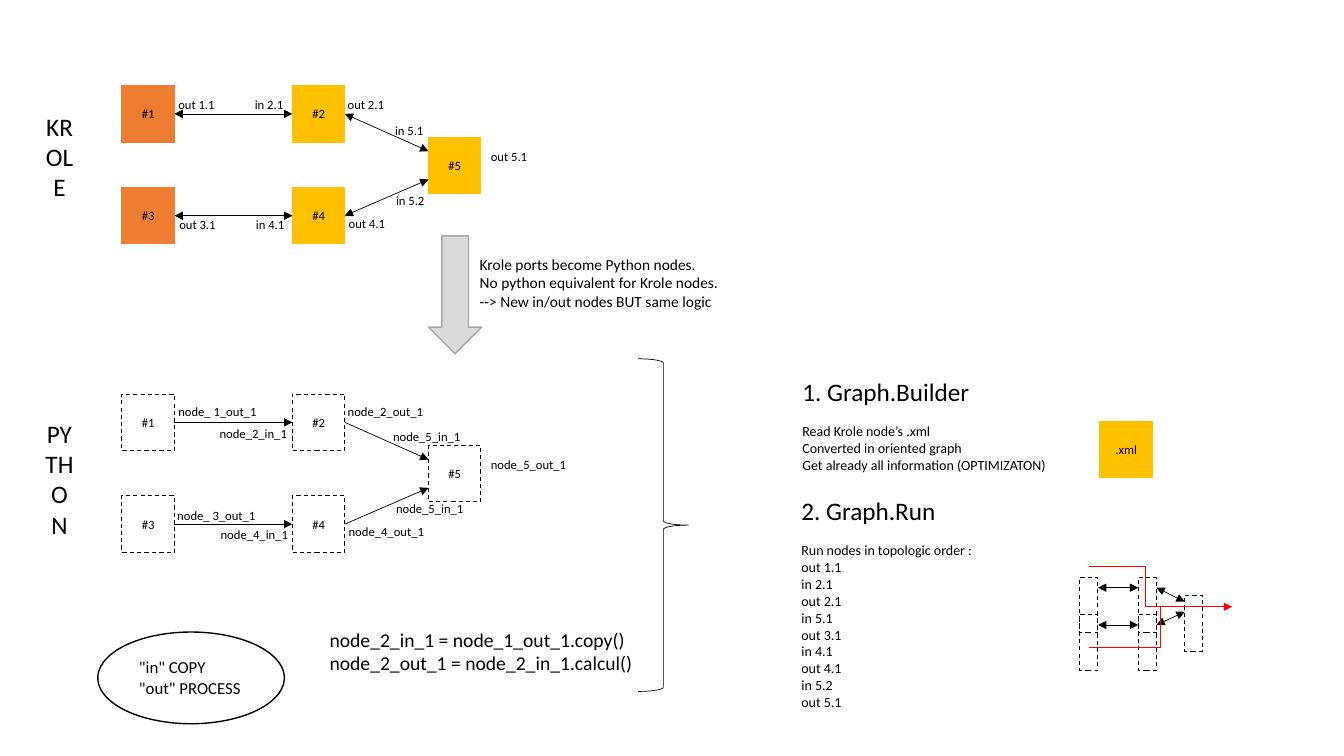
from lxml import etree
from pptx import Presentation
from pptx.dml.color import RGBColor
from pptx.enum import dml, shapes, text
from pptx.oxml import ns
from pptx.util import Inches, Pt

BLACK, ORANGE, GOLD, RED = "000000", "ED7D31", "FFC000", "FF0000"
NODE_W, NODE_H = 0.52, 0.56


def color(value):
    """Turn a hex string into a colour."""
    return RGBColor.from_string(value)


def write(frame, content, size=9, align=text.PP_ALIGN.LEFT, title_size=None, title_gap=0):
    """Fill a text frame, one paragraph a line, with an optional larger first line."""
    for index, line in enumerate(content.split("\n")):
        paragraph = frame.paragraphs[0] if index == 0 else frame.add_paragraph()
        paragraph.alignment = align
        run = paragraph.add_run()
        run.text = line
        is_title = index == 0 and title_size
        run.font.size = Pt(title_size if is_title else size)
        run.font.name = "Calibri"
        run.font.color.rgb = color(BLACK)
        if is_title:
            paragraph.space_after = Pt(title_gap)


def label(slide, content, left, top, width=1.1, height=0.25, **style):
    """Add a wrapped text box."""
    box = slide.shapes.add_textbox(Inches(left), Inches(top), Inches(width), Inches(height))
    box.text_frame.word_wrap = True
    write(box.text_frame, content, **style)


def figure(slide, kind, left, top, width, height, fill=None, line=BLACK, weight=0.75, dashed=False):
    """Add a preset shape without shadow."""
    shape = slide.shapes.add_shape(kind, Inches(left), Inches(top), Inches(width), Inches(height))
    shape.shadow.inherit = False
    if fill:
        shape.fill.solid()
        shape.fill.fore_color.rgb = color(fill)
    else:
        shape.fill.background()
    shape.line.color.rgb = color(line)
    shape.line.width = Pt(weight)
    if dashed:
        shape.line.dash_style = dml.MSO_LINE.DASH
    return shape


def node(slide, left, top, name="", fill=None, width=NODE_W, height=NODE_H):
    """Add a filled node, or a dashed one when there is no fill."""
    box = figure(slide, shapes.MSO_SHAPE.RECTANGLE, left, top, width, height,
                 fill, fill or BLACK, dashed=not fill)
    if name:
        frame = box.text_frame
        frame.margin_left = frame.margin_right = 0
        frame.vertical_anchor = text.MSO_ANCHOR.MIDDLE
        write(frame, name, align=text.PP_ALIGN.CENTER)
    return box


def link(slide, start, end, head=False, tail=True, line=BLACK, kind=shapes.MSO_CONNECTOR.STRAIGHT):
    """Add a thin connector with arrowheads at the chosen ends."""
    connector = slide.shapes.add_connector(kind, *(Inches(value) for value in (*start, *end)))
    connector.line.color.rgb = color(line)
    connector.line.width = Pt(0.5)
    outline = connector.line._get_or_add_ln()
    for tag, wanted in (("a:headEnd", head), ("a:tailEnd", tail)):
        if wanted:
            etree.SubElement(outline, ns.qn(tag)).set("type", "triangle")
    etree.SubElement(connector._element.spPr, ns.qn("a:effectLst"))
    return connector


def graph(slide, top, source_fill=None, step_fill=None, two_way=False):
    """Draw two chains of nodes that meet in node 5."""
    source_x, step_x, final_x = 1.21, 2.9, 4.25
    final_y = top + 0.51
    node(slide, final_x, final_y, "#5", step_fill)
    for row, port in enumerate((0.14, 0.42)):
        y = top + 1.01 * row
        source = node(slide, source_x, y, f"#{2 * row + 1}", source_fill)
        step = node(slide, step_x, y, f"#{2 * row + 2}", step_fill)
        middle = y + NODE_H / 2
        chain = link(slide, (source_x + NODE_W, middle), (step_x, middle), head=two_way)
        chain.begin_connect(source, 3)
        chain.end_connect(step, 1)
        merge = link(slide, (step_x + NODE_W, middle), (final_x, final_y + port), head=two_way)
        merge.begin_connect(step, 3)


def run_order(slide):
    """Draw the small graph with the red run path."""
    columns, width, height = (10.71, 11.29, 11.75), 0.18, 0.55
    for x, tops in zip(columns, ((5.73, 6.1), (5.73, 6.1), (5.91,))):
        for y in tops:
            node(slide, x, y, width=width, height=height)
    for y, port in ((5.83, 5.97), (6.2, 6.07)):
        link(slide, (columns[0] + width, y), (columns[1], y), head=True)
        link(slide, (columns[1] + width, y), (columns[2], port), head=True)
    elbow = shapes.MSO_CONNECTOR.ELBOW
    link(slide, (10.8, 5.62), (11.93, 6.02), tail=False, line=RED, kind=elbow)
    link(slide, (10.8, 6.42), (12.22, 6.02), line=RED, kind=elbow)


def main():
    """Build the slide and save it."""
    deck = Presentation()
    deck.slide_width, deck.slide_height = Inches(13.33), Inches(7.5)
    slide = deck.slides.add_slide(deck.slide_layouts[6])

    graph(slide, 0.85, ORANGE, GOLD, two_way=True)
    graph(slide, 3.91)
    for port, left, top in (
        ("out 1.1", 1.67, 0.91), ("in 2.1", 2.43, 0.91), ("out 2.1", 3.35, 0.91),
        ("out 3.1", 1.68, 2.1), ("in 4.1", 2.44, 2.1), ("out 4.1", 3.36, 2.09),
        ("in 5.1", 3.82, 1.17), ("in 5.2", 3.83, 1.86), ("out 5.1", 4.77, 1.43),
        ("node_ 1_out_1", 1.67, 3.96), ("node_2_in_1", 2.08, 4.18),
        ("node_2_out_1", 3.35, 3.96), ("node_ 3_out_1", 1.66, 4.99),
        ("node_4_in_1", 2.09, 5.18), ("node_4_out_1", 3.36, 5.15),
        ("node_5_in_1", 3.8, 4.21), ("node_5_in_1", 3.83, 4.92),
        ("node_5_out_1", 4.77, 4.48),
    ):
        label(slide, port, left, top)

    for side, top, height in (("KROLE", 1.05, 1.01), ("PYTHON", 4.1, 1.3)):
        label(slide, side, 0.34, top, 0.5, height, size=18, align=text.PP_ALIGN.CENTER)

    figure(slide, shapes.MSO_SHAPE.DOWN_ARROW, 4.25, 2.34, 0.53, 1.17, "D9D9D9", "A6A6A6", 1)
    label(slide, "Krole ports become Python nodes.\nNo python equivalent for Krole nodes.\n"
          "--> New in/out nodes BUT same logic", 4.66, 2.48, 2.9, 0.66, size=11)

    figure(slide, shapes.MSO_SHAPE.OVAL, 0.97, 6.27, 1.85, 0.91, weight=1)
    label(slide, '"in" COPY\n"out" PROCESS', 1.28, 6.47, 1.22, 0.5, size=12)
    label(slide, "node_2_in_1 = node_1_out_1.copy()\nnode_2_out_1 = node_2_in_1.calcul()",
          3.17, 6.18, 3.31, 0.57, size=14)
    figure(slide, shapes.MSO_SHAPE.RIGHT_BRACE, 6.33, 3.56, 0.5, 3.3, weight=0.5)

    section = {"size": 10, "title_size": 18, "title_gap": 12}
    label(slide, "1. Graph.Builder\nRead Krole node’s .xml\nConverted in oriented graph\n"
          "Get already all information (OPTIMIZATON)", 7.86, 3.68, 2.73, 1.08, **section)
    node(slide, 10.91, 4.18, ".xml", GOLD)
    ports = ("out 1.1", "in 2.1", "out 2.1", "in 5.1", "out 3.1",
             "in 4.1", "out 4.1", "in 5.2", "out 5.1")
    label(slide, "\n".join(("2. Graph.Run", "Run nodes in topologic order :", *ports)),
          7.85, 4.86, 2, 2.42, **section)
    run_order(slide)

    deck.save("out.pptx")


if __name__ == "__main__":
    main()
